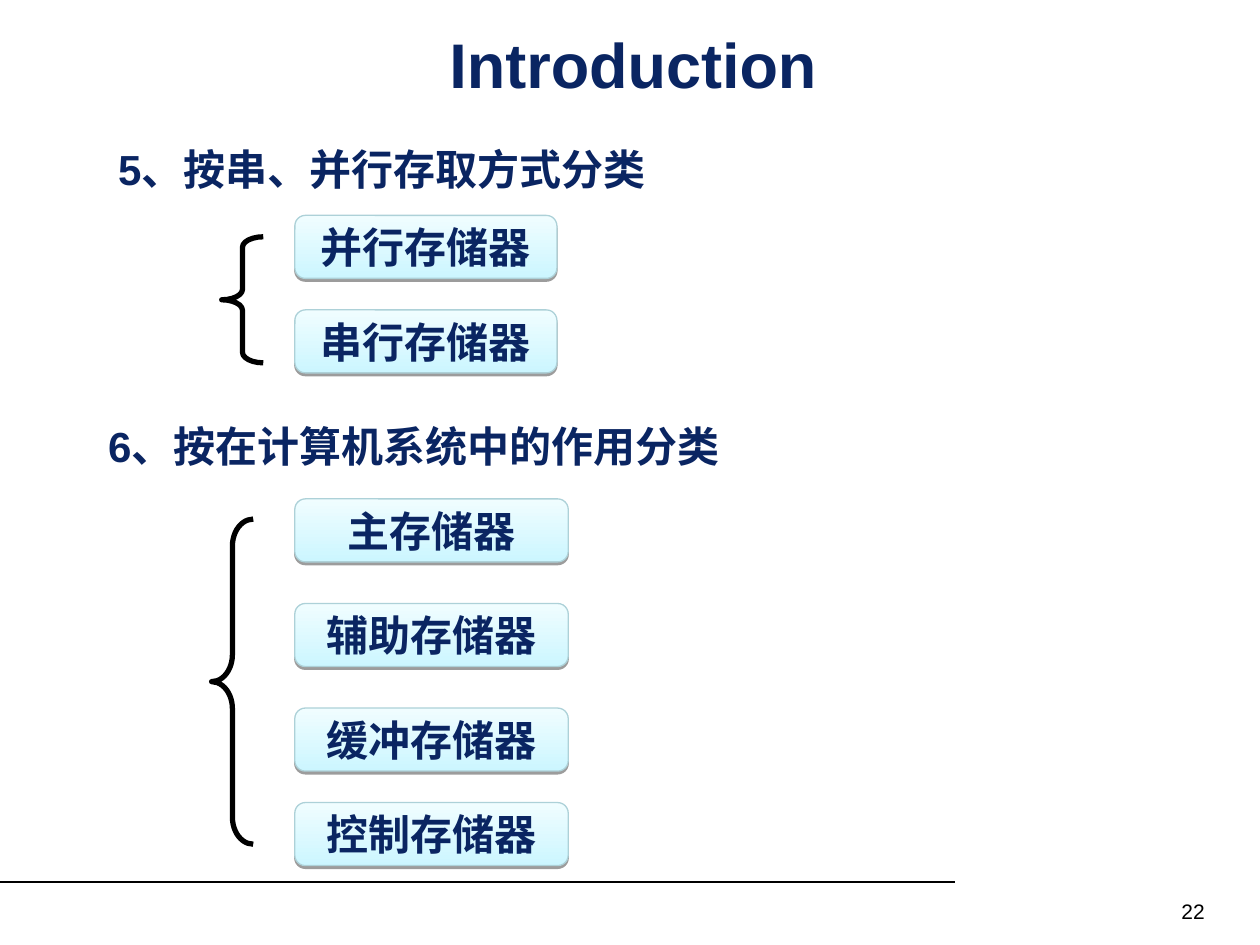
from lxml import etree
from pptx import Presentation
from pptx import util as u
from pptx.dml.color import RGBColor
from pptx.enum import shapes, text
from pptx.oxml.ns import qn

TITLE = "Introduction"
PAGE = "22"
COLORS = {"navy": "0A2562", "black": "000000", "edge": "ADD1D8",
          "deep": "CCF6FF", "pale": "F0FDFF"}
FONT = "Arial"
BOX_LEFT, BOX_H = 2.34, 0.5
BRACE_W = 0.33

# Each section: heading and its box, brace box without width, box width, (label, top)
SECTIONS = [
    {"heading": "5、按串、并行存取方式分类", "at": (0.84, 1.09, 5.17, 0.5),
     "brace": (1.76, 1.88, 1.0), "box_w": 2.08,
     "kinds": [("并行存储器", 1.71), ("串行存储器", 2.46)]},
    {"heading": "6、按在计算机系统中的作用分类", "at": (0.76, 3.29, 5.33, 0.5),
     "brace": (1.68, 4.12, 2.58), "box_w": 2.17,
     "kinds": [("主存储器", 3.96), ("辅助存储器", 4.79),
               ("缓冲存储器", 5.62), ("控制存储器", 6.37)]},
]


def inches(*lengths):
    return [u.Inches(n) for n in lengths]


def rgb(name):
    return RGBColor.from_string(COLORS[name])


def write(sp, words, size, align, color="navy", bold=True, wrap=True):
    tf = sp.text_frame
    tf.word_wrap = wrap
    p = tf.paragraphs[0]
    p.text = words
    p.alignment = align
    p.font.name, p.font.size, p.font.bold = FONT, u.Pt(size), bold
    p.font.color.rgb = rgb(color)
    return tf


def set_line(line, color, width):
    line.color.rgb = rgb(color)
    line.width = u.Pt(width)


def add_drop_shadow(sp):
    sp.shadow.inherit = False
    effects = sp.element.spPr.find(qn("a:effectLst"))
    shadow = etree.SubElement(effects, qn("a:outerShdw"), blurRad="0",
                              dist=str(u.Pt(1.6)), dir="5400000", rotWithShape="0")
    color = etree.SubElement(shadow, qn("a:srgbClr"), val=COLORS["black"])
    etree.SubElement(color, qn("a:alpha"), val="38000")


def add_brace(s, left, top, height):
    sp = s.shapes.add_shape(shapes.MSO_SHAPE.LEFT_BRACE,
                            *inches(left, top, BRACE_W, height))
    sp.adjustments[0] = height / 12 / BRACE_W  # each curve is 1/12 of the height
    sp.fill.background()
    set_line(sp.line, "black", 3)
    sp.shadow.inherit = False


def add_box(s, label, top, width):
    sp = s.shapes.add_shape(shapes.MSO_SHAPE.ROUNDED_RECTANGLE,
                            *inches(BOX_LEFT, top, width, BOX_H))
    sp.fill.gradient()
    sp.fill.gradient_angle = 90
    for stop, color in zip(sp.fill.gradient_stops, ("deep", "pale")):
        stop.color.rgb = rgb(color)
    set_line(sp.line, "edge", 0.75)
    add_drop_shadow(sp)
    tf = write(sp, label, 24, text.PP_ALIGN.CENTER, wrap=False)
    tf.vertical_anchor = text.MSO_ANCHOR.MIDDLE


prs = Presentation()
prs.slide_width, prs.slide_height = inches(10, 7.5)
s = prs.slides.add_slide(prs.slide_layouts[5])

rule = s.shapes.add_connector(shapes.MSO_CONNECTOR.STRAIGHT, *inches(0, 7, 7.58, 7))
set_line(rule.line, "black", 0.75)
etree.SubElement(rule.element.spPr, qn("a:effectLst"))

title = s.shapes.title
title.left, title.top, title.width, title.height = inches(0.5, 0.25, 9.05, 0.5)
tf = write(title, TITLE, 36, text.PP_ALIGN.CENTER)
tf.vertical_anchor = text.MSO_ANCHOR.MIDDLE
tf.auto_size = text.MSO_AUTO_SIZE.NONE
tf.margin_left = tf.margin_right = tf.margin_top = tf.margin_bottom = 0

number = s.shapes.add_textbox(*inches(7.33, 7.08, 2.33, 0.27))
write(number, PAGE, 12, text.PP_ALIGN.RIGHT, "black", bold=False)

for section in SECTIONS:
    heading = s.shapes.add_textbox(*inches(*section["at"]))
    write(heading, section["heading"], 24, text.PP_ALIGN.LEFT)
    add_brace(s, *section["brace"])
    for label, top in section["kinds"]:
        add_box(s, label, top, section["box_w"])

prs.save("out.pptx")
